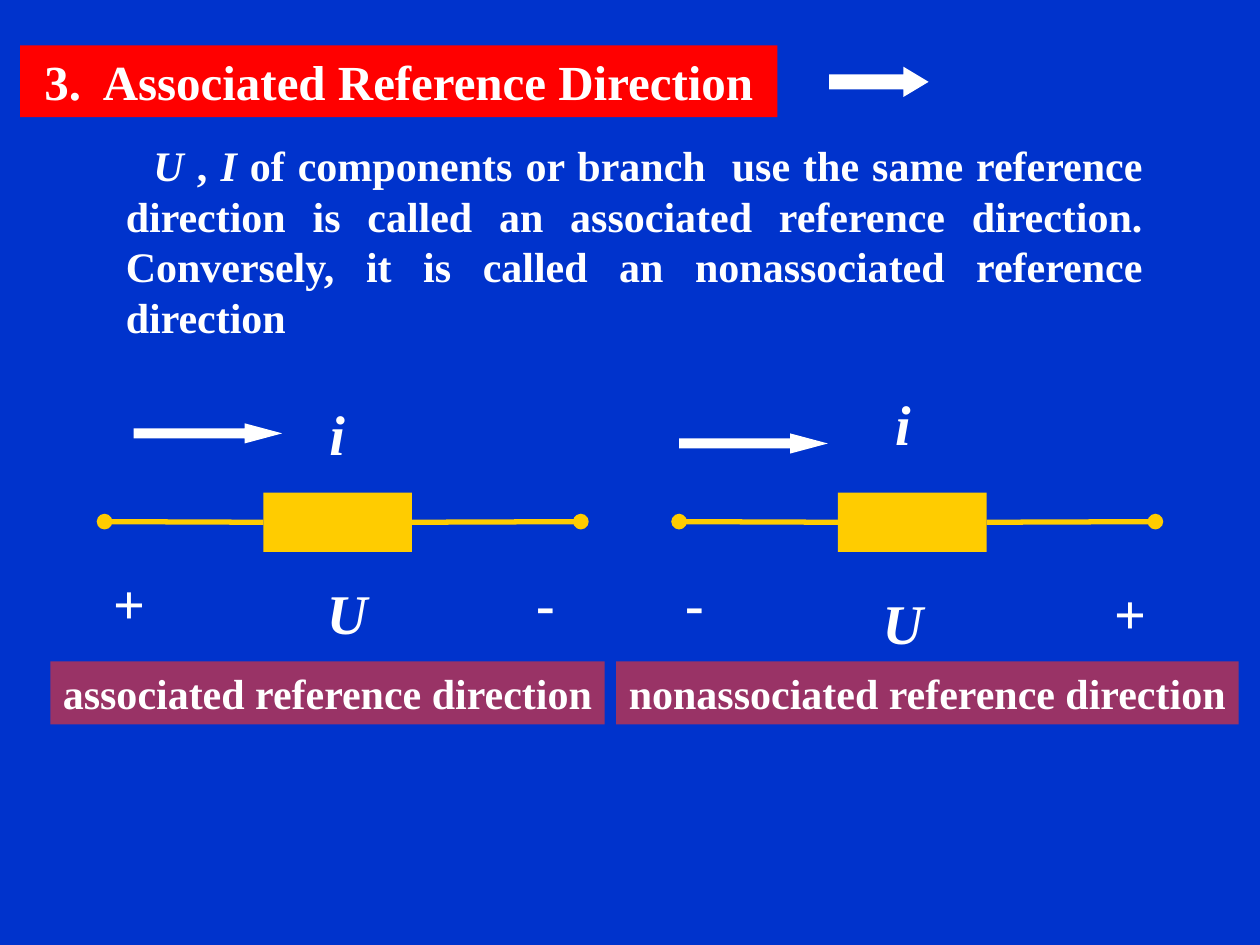
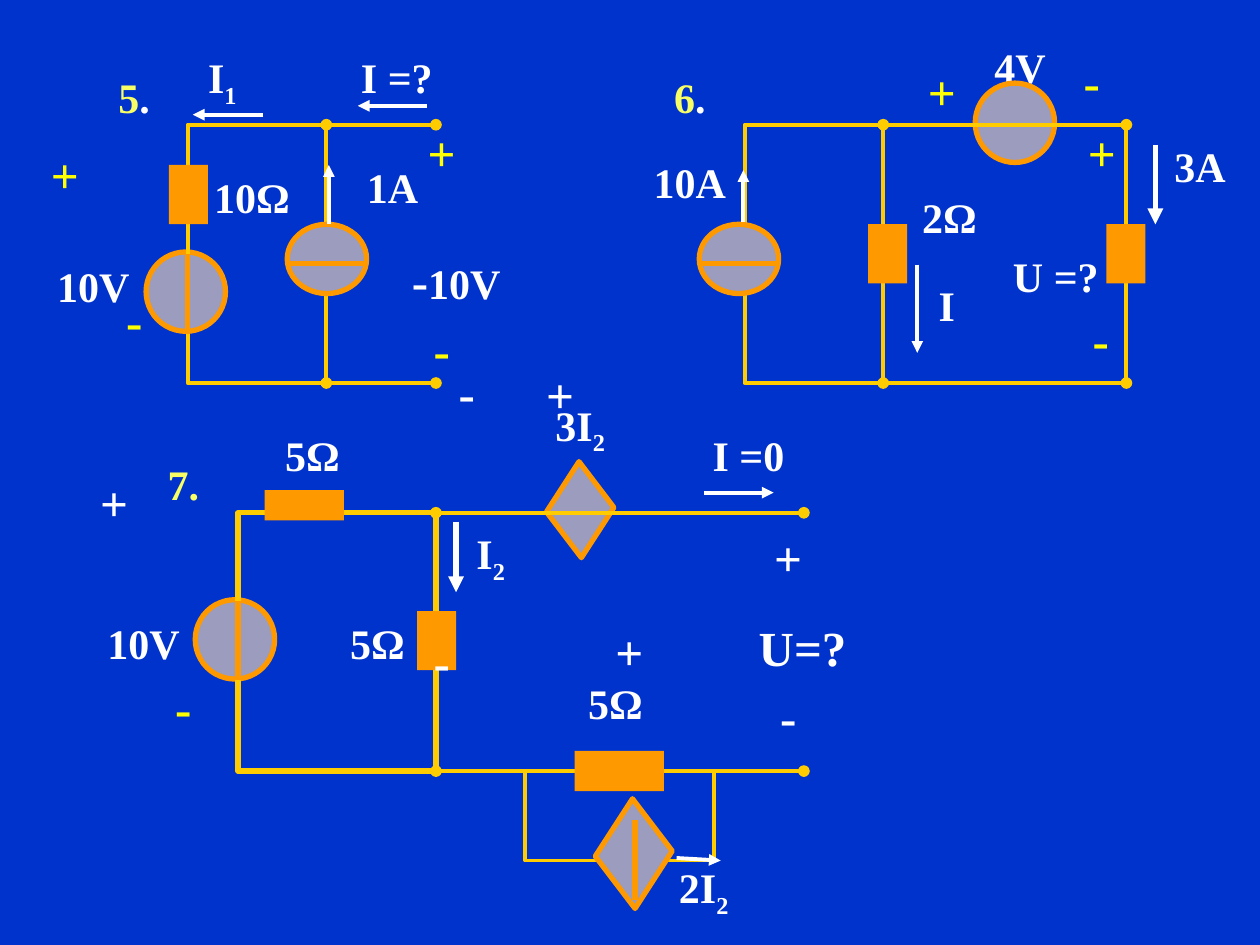
from dataclasses import dataclass
from typing import Any

from lxml import etree
from pptx import Presentation
from pptx.dml.color import RGBColor
from pptx.enum.shapes import MSO_CONNECTOR, MSO_SHAPE
from pptx.enum.text import MSO_ANCHOR, PP_ALIGN
from pptx.oxml.ns import qn
from pptx.util import Inches, Pt

COLORS = {
    "background": "0033CC", "title": "FF0000", "caption": "993366",
    "white": "FFFFFF", "wire": "FFCC00", "part": "FF9900",
    "source": "9C9CBE", "sign": "FFFF00", "number": "F8FF65",
}
FONT = "Times New Roman"
RAIL_GAP = 2.05
ROUND, FLAT = (0.63, 0.63), (0.63, 0.55)
UPRIGHT = (0.31, 0.47)


def rgb(name):
    return RGBColor.from_string(COLORS[name])


def add_runs(paragraph, runs, size, color, italic=False):
    """Runs are one string or (text, changes) pairs; changes: size, color, italic, sub."""
    for text, changes in [(runs, {})] if isinstance(runs, str) else runs:
        run = paragraph.add_run()
        run.text = text
        run.font.name = FONT
        run.font.bold = True
        run.font.size = Pt(changes.get("size", size))
        run.font.italic = changes.get("italic", italic)
        run.font.color.rgb = rgb(changes.get("color", color))
        if changes.get("sub"):
            run.font._element.set("baseline", "-25000")


def subscripted(text, index):
    return [(text, {}), (index, {"sub": True})]


@dataclass
class Region:
    """Part of a slide whose contents are placed relative to (left, top)."""
    slide: Any
    left: float = 0
    top: float = 0

    def point(self, x, y):
        return Inches(self.left + x), Inches(self.top + y)

    def shape(self, kind, x, y, width, height, fill=None, line=None, weight=3):
        shape = self.slide.shapes.add_shape(
            kind, *self.point(x, y), Inches(width), Inches(height))
        shape.shadow.inherit = False
        if fill:
            shape.fill.solid()
            shape.fill.fore_color.rgb = rgb(fill)
        else:
            shape.fill.background()
        if line:
            shape.line.color.rgb = rgb(line)
            shape.line.width = Pt(weight)
        else:
            shape.line.fill.background()
        return shape

    def banner(self, x, y, width, height, text, fill, size):
        banner = self.shape(MSO_SHAPE.RECTANGLE, x, y, width, height, fill)
        frame = banner.text_frame
        frame.word_wrap = False
        frame.vertical_anchor = MSO_ANCHOR.MIDDLE
        frame.paragraphs[0].alignment = PP_ALIGN.CENTER
        add_runs(frame.paragraphs[0], text, size, "white")

    def label(self, x, y, width, runs, color="white", size=24, italic=False):
        height = {24: 0.5, 28: 0.57, 32: 0.63}[size]
        box = self.slide.shapes.add_textbox(
            *self.point(x, y), Inches(width), Inches(height))
        box.text_frame.word_wrap = True
        paragraph = box.text_frame.paragraphs[0]
        paragraph.alignment = PP_ALIGN.CENTER
        add_runs(paragraph, runs, size, color, italic)

    def labels(self, rows):
        for row in rows:
            self.label(*row)

    def signs(self, rows):
        """Polarity signs from rows of x, y, width, sign, color."""
        for row in rows:
            self.label(*row, size=28)

    def line(self, x1, y1, x2, y2, color="wire", weight=2.25, head=None, tail=None):
        line = self.slide.shapes.add_connector(
            MSO_CONNECTOR.STRAIGHT, *self.point(x1, y1), *self.point(x2, y2))
        line.line.color.rgb = rgb(color)
        line.line.width = Pt(weight)
        for end, kind in (("a:headEnd", head), ("a:tailEnd", tail)):
            if kind:
                etree.SubElement(line.line._get_or_add_ln(), qn(end), type=kind)
        etree.SubElement(line._element.spPr, qn("a:effectLst"))
        return line

    def arrow(self, x1, y1, x2, y2, weight=2.25):
        self.line(x1, y1, x2, y2, "white", weight, tail="triangle")

    def block_arrow(self, x, y, width, height, head):
        arrow = self.shape(MSO_SHAPE.RIGHT_ARROW, x, y, width, height, "white")
        arrow.adjustments[1] = head

    def resistor(self, x, y, width, height, fill="part"):
        return self.shape(MSO_SHAPE.RECTANGLE, x, y, width, height, fill)

    def source(self, x, y, size):
        self.shape(MSO_SHAPE.OVAL, x, y, *size, "source", "part")

    def current_source(self, x, y):
        self.source(x, y, FLAT)
        self.line(x, y + 0.31, x + 0.63, y + 0.31, "part", 3)

    def dependent_source(self, x, y, width, height):
        source = self.shape(MSO_SHAPE.PARALLELOGRAM, x, y, width, height, "source", "part")
        source.adjustments[0] = 0.36
        source.rotation = 302.9

    def ladder(self, loop_width, rail_end, weight=2.25):
        """Closed loop whose top and bottom rails run on to rail_end."""
        self.shape(MSO_SHAPE.RECTANGLE, 0, 0, loop_width, RAIL_GAP,
                   line="wire", weight=weight)
        for y in (0, RAIL_GAP):
            self.line(loop_width, y, rail_end, y, head="oval", tail="oval")


def definition(region):
    box = region.slide.shapes.add_textbox(
        *region.point(0, 0), Inches(8.9), Inches(1.72))
    frame = box.text_frame
    frame.word_wrap = True
    frame.vertical_anchor = MSO_ANCHOR.MIDDLE
    paragraph = frame.paragraphs[0]
    paragraph.alignment = PP_ALIGN.JUSTIFY
    properties = paragraph._p.get_or_add_pPr()
    properties.set("marL", str(Inches(0.63)))
    properties.set("indent", str(Inches(0.22)))
    add_runs(paragraph, [
        ("U", {"italic": True}), (" , ", {}), ("I", {"italic": True}),
        (" of components or branch  use the same reference direction is called "
         "an associated reference direction. Conversely, it is called an "
         "nonassociated reference direction", {})], 24, "white")


def branch(region, arrow, current, voltage, signs, caption):
    """One two-terminal element with its current arrow, polarity and caption."""
    resistor = region.resistor(1.26, 0.87, 1.18, 0.47, "wire")
    region.line(2.44, 1.1, 3.78, 1.1, weight=3, tail="oval").begin_connect(resistor, 3)
    region.line(0, 1.1, 1.26, 1.1, weight=3, head="oval").end_connect(resistor, 1)
    region.block_arrow(*arrow, 1.18, 0.16, 1.865)
    region.label(*current, 0.55, "i", size=32, italic=True)
    region.label(*voltage, 0.71, "U", size=32, italic=True)
    for x, y, sign in signs:
        region.label(x, y, 0.71, sign, size=32)
    x, width, text = caption
    region.banner(x, 2.21, width, 0.5, text, "caption", 24)


def reference_direction_slide(slide):
    page = Region(slide)
    definition(Region(slide, 0.27, 1.05))
    page.banner(0.16, 0.36, 6.01, 0.57, "3.  Associated Reference Direction", "title", 28)
    page.block_arrow(6.58, 0.53, 0.79, 0.24, 0.833)
    branch(Region(slide, 0.83, 3.04), (0.23, 0.32), (1.57, 0.08), (1.57, 1.5),
           [(-0.16, 1.42, "+"), (3.15, 1.42, "-")],
           (-0.43, 4.4, "associated reference direction"))
    branch(Region(slide, 5.39, 3.04), (0, 0.4), (1.5, 0), (1.42, 1.58),
           [(3.23, 1.5, "+"), (-0.23, 1.42, "-")],
           (-0.5, 4.94, "nonassociated reference direction"))


def circuit_5(region):
    region.source(-0.33, 1.01, ROUND)
    region.ladder(1.1, 1.97)
    region.current_source(0.79, 0.79)
    region.line(0, 1.03, 0, 1.66, "part", 3)
    region.resistor(-0.15, 0.32, *UPRIGHT)
    region.arrow(1.12, 0.79, 1.12, 0.32)
    region.arrow(1.9, -0.15, 1.35, -0.15)
    region.arrow(0.6, -0.08, 0.04, -0.08)
    region.signs([
        (1.74, -0.07, 0.55, "+", "sign"), (-1.25, 0.11, 0.55, "+", "sign"),
        (-0.62, 1.27, 0.39, "-", "sign"), (1.82, 1.5, 0.39, "-", "sign"),
        (1.66, 0.95, 0.94, [("-", {}), ("10V", {"size": 24})], "white")])
    region.labels([
        (-1.22, 1.03, 0.94, "10V"), (1.27, 0.24, 0.71, "1A"),
        (1.19, -0.63, 0.94, "I =?"), (0, 0.32, 1.02, "10Ω"),
        (-0.7, -0.47, 0.55, [("5", {"color": "number"}), (".", {})]),
        (0.04, -0.63, 0.47, subscripted("I", "1"))])


def circuit_6(region):
    region.label(1.85, -0.71, 0.67, "4V")
    region.source(1.83, -0.33, ROUND)
    region.ladder(1.1, 3.03)
    region.current_source(-0.36, 0.79)
    region.line(3.03, 0, 3.03, RAIL_GAP)
    for x in (0.98, 2.87):
        region.resistor(x, 0.79, *UPRIGHT)
    region.arrow(-0.01, 0.77, -0.01, 0.36)
    region.arrow(3.26, 0.16, 3.26, 0.79, 3)
    region.arrow(1.37, 1.11, 1.37, 1.81)
    region.signs([
        (2.56, -0.07, 0.55, "+", "sign"), (2.63, 1.42, 0.39, "-", "sign"),
        (1.29, -0.55, 0.55, "+", "sign"), (2.56, -0.63, 0.39, "-", "sign")])
    region.labels([
        (-0.91, 0.2, 0.95, "10A"), (2, 0.95, 0.94, "U =?"),
        (1.29, 0.48, 0.67, "2Ω"), (3.14, 0.08, 0.95, "3A"),
        (1.37, 1.18, 0.47, "I"),
        (-0.71, -0.47, 0.55, [("6", {"color": "number"}), (".", {})])])


def circuit_7(region):
    region.dependent_source(2.4, -0.24, 0.63, 0.43)
    region.shape(MSO_SHAPE.RECTANGLE, 2.28, RAIL_GAP, 1.5, 0.71,
                 line="wire", weight=2.25)
    region.source(-0.34, 0.69, ROUND)
    region.ladder(1.57, 4.49, 3)
    region.line(0, 0.7, 0, 1.33, "part", 3)
    region.resistor(0.21, -0.18, 0.63, 0.24)
    region.resistor(1.42, 0.78, *UPRIGHT)
    region.resistor(2.67, 1.89, 0.71, 0.32)
    region.dependent_source(2.78, 2.46, 0.72, 0.49)
    region.line(3.15, 2.44, 3.15, 3.07, "part", 3)
    region.arrow(1.73, 0.07, 1.73, 0.63, 3)
    region.arrow(3.7, -0.16, 4.25, -0.16)
    region.arrow(3.48, 2.74, 3.83, 2.76)
    region.signs([
        (4.09, 0.07, 0.55, "+", "white"), (4.17, 1.33, 0.39, "-", "white"),
        (-1.26, -0.37, 0.55, "+", "white"), (-0.63, 1.26, 0.39, "-", "sign"),
        (2.28, -1.23, 0.55, "+", "white"), (1.58, -1.24, 0.47, "-", "white"),
        (2.83, 0.81, 0.55, "+", "white"), (1.34, 0.89, 0.55, "-", "white"),
        (4.01, 0.78, 0.94, "U=?", "white")])
    region.labels([
        (-1.22, 0.78, 0.94, "10V"), (2.36, -0.95, 0.71, subscripted("3I", "2")),
        (3.54, -0.71, 1.02, "I =0"), (0.08, -0.71, 1.02, "5Ω"),
        (-0.71, -0.48, 0.55, "7.", "number"), (0.71, 0.78, 0.79, "5Ω"),
        (3.34, 2.72, 0.71, subscripted("2I", "2")),
        (1.69, 0.07, 0.63, subscripted("I", "2")), (2.6, 1.26, 0.79, "5Ω")])


def circuits_slide(slide):
    circuit_5(Region(slide, 1.49, 0.99))
    circuit_6(Region(slide, 5.91, 0.99))
    circuit_7(Region(slide, 1.89, 4.07))


def main():
    deck = Presentation()
    deck.slide_width, deck.slide_height = Inches(10), Inches(7.5)
    for build in (reference_direction_slide, circuits_slide):
        slide = deck.slides.add_slide(deck.slide_layouts[6])
        slide.background.fill.solid()
        slide.background.fill.fore_color.rgb = rgb("background")
        build(slide)
    deck.save("out.pptx")


if __name__ == "__main__":
    main()
